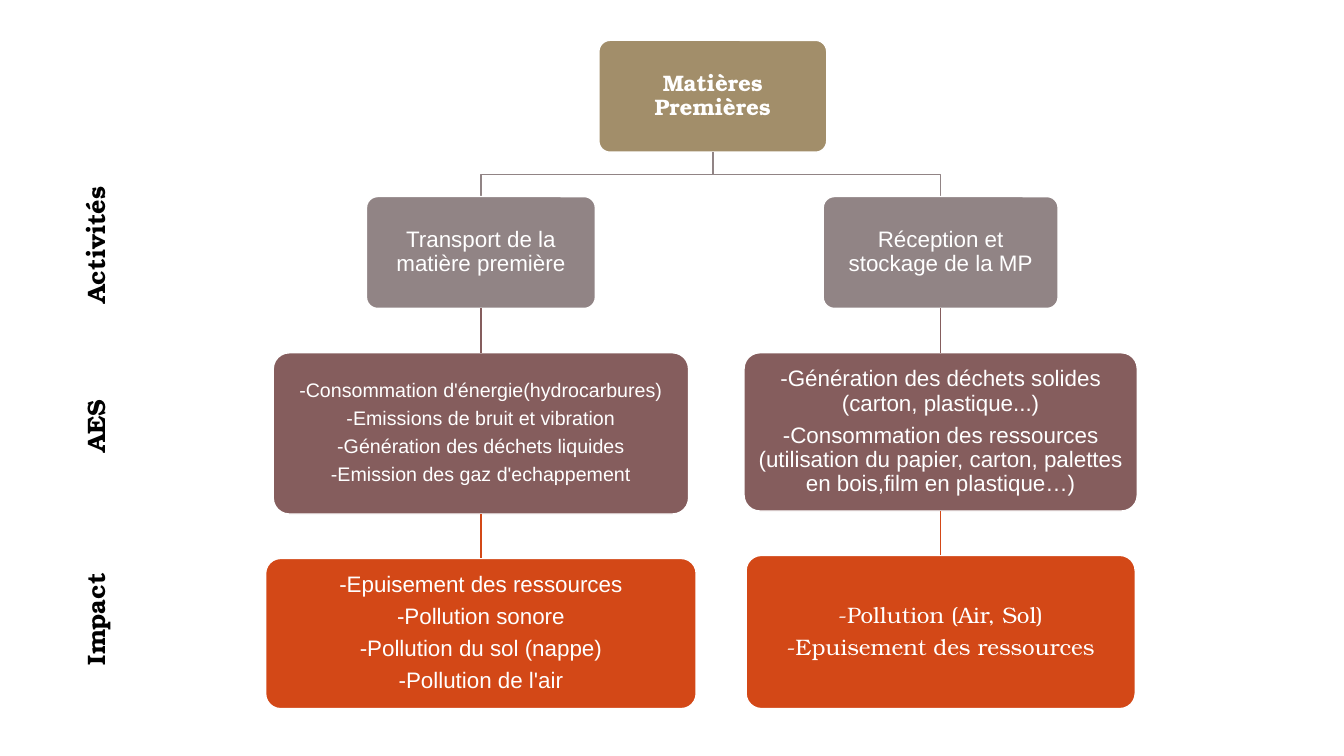
from dataclasses import dataclass

from lxml import etree
from pptx import Presentation
from pptx.dml.color import RGBColor
from pptx.enum.shapes import MSO_CONNECTOR as Link, MSO_SHAPE as Preset
from pptx.enum.text import MSO_ANCHOR as Anchor, PP_ALIGN as Align
from pptx.oxml.ns import qn
from pptx.util import Pt

PX = 9144  # 100 px to the inch


@dataclass(frozen=True)
class Theme:
    white: str = "FFFFFF"
    black: str = "000000"
    root: str = "A28E6A"
    levels: tuple = ("918485", "855D5D", "D34817")
    sans: str = "Arial"
    serif: str = "TeX Gyre Bonum"
    small: int = 14
    body: int = 16
    label: int = 18


THEME = Theme()

# Content: each node is width, height, font, size, paragraphs
ROOT = (226, 111, THEME.serif, THEME.body, ["Matières Premières"])
BRANCHES = [
    (477, [
        (227, 111, THEME.sans, THEME.body, ["Transport de la matière première"]),
        (412, 160, THEME.sans, THEME.small, [
            "-Consommation d'énergie(hydrocarbures)",
            "-Emissions de bruit et vibration",
            "-Génération des déchets liquides",
            "-Emission des gaz d'echappement",
        ]),
        (427, 149, THEME.sans, THEME.body, [
            "-Epuisement des ressources",
            "-Pollution sonore",
            "-Pollution du sol (nappe)",
            "-Pollution de l'air",
        ]),
    ]),
    (933, [
        (233, 111, THEME.sans, THEME.body, ["Réception et stockage de la MP"]),
        (390, 157, THEME.sans, THEME.body, [
            "-Génération des déchets solides (carton, plastique...)",
            "-Consommation des ressources (utilisation du papier, carton, "
            "palettes en bois,film en plastique…)",
        ]),
        (386, 152, THEME.serif, THEME.body, [
            "-Pollution (Air, Sol)",
            "-Epuisement des ressources",
        ]),
    ]),
]
LABELS = [("Activités", 243), ("AES", 423), ("Impact ", 610)]

# Layout
ROOT_X, ROOT_TOP, GAP = 707, 40, 44
LABEL_X, LABEL_W, LABEL_H = 95, 159, 100


def rgb(value):
    return RGBColor.from_string(value)


def add_panel(page, preset, x, top, width, height, color):
    """Add a filled shape centred on x, with a white outline."""
    box = page.shapes.add_shape(preset, round((x - width / 2) * PX), top * PX,
                                width * PX, height * PX)
    box.shadow.inherit = False
    box.fill.solid()
    box.fill.fore_color.rgb = rgb(color)
    box.line.color.rgb = rgb(THEME.white)
    box.line.width = Pt(1)
    box.text_frame.word_wrap = True
    box.text_frame.vertical_anchor = Anchor.MIDDLE
    return box


def add_text(para, text, font, size, color, bold=False):
    para.alignment = Align.CENTER
    span = para.add_run()
    span.text = text
    span.font.name, span.font.size, span.font.bold = font, Pt(size), bold
    span.font.color.rgb = rgb(color)


def add_node(page, x, top, node, color, bold=False):
    width, height, font, size, lines = node
    box = add_panel(page, Preset.ROUNDED_RECTANGLE, x, top, width, height, color)
    box.adjustments[0] = 0.1
    frame = box.text_frame
    frame.margin_left = frame.margin_right = 7 * PX
    frame.margin_top = frame.margin_bottom = 7 * PX
    for index, line in enumerate(lines):
        para = frame.add_paragraph() if index else frame.paragraphs[0]
        para.line_spacing = 0.9
        para.space_after = Pt(round(0.35 * size, 1))
        add_text(para, line, font, size, THEME.white, bold)
    return box


def add_elbow(page, x, top, color):
    """Run from the root down, across to x, and down to the branch."""
    path = page.shapes.build_freeform(ROOT_X, top, scale=PX)
    middle = top + GAP // 2
    path.add_line_segments([(ROOT_X, middle), (x, middle), (x, top + GAP)], close=False)
    elbow = path.convert_to_shape()
    elbow.shadow.inherit = False
    elbow.fill.background()
    elbow.line.color.rgb = rgb(color)
    elbow.line.width = Pt(1)


def add_link(page, upper, lower, color):
    link = page.shapes.add_connector(Link.STRAIGHT, 0, 0, 0, 0)
    link.begin_connect(upper, 2)
    link.end_connect(lower, 0)
    link.line.color.rgb = rgb(color)
    link.line.width = Pt(1)
    etree.SubElement(link._element.spPr, qn("a:effectLst"))


def main():
    deck = Presentation()
    deck.slide_width, deck.slide_height = 1333 * PX, 750 * PX
    page = deck.slides.add_slide(deck.slide_layouts[6])

    # Tree
    add_node(page, ROOT_X, ROOT_TOP, ROOT, THEME.root, bold=True)
    root_bottom = ROOT_TOP + ROOT[1]
    for x, nodes in BRANCHES:
        add_elbow(page, x, root_bottom, THEME.levels[0])
        top, parent = root_bottom + GAP, None
        for node, color in zip(nodes, THEME.levels):
            box = add_node(page, x, top, node, color)
            if parent is not None:
                add_link(page, parent, box, color)
            parent = box
            top += node[1] + GAP

    # Row labels, read from bottom to top
    for text, middle in LABELS:
        label = add_panel(page, Preset.RECTANGLE, LABEL_X, middle - LABEL_H // 2,
                          LABEL_W, LABEL_H, THEME.white)
        label.rotation = 270
        add_text(label.text_frame.paragraphs[0], text, THEME.serif, THEME.label,
                 THEME.black, bold=True)

    deck.save("out.pptx")


if __name__ == "__main__":
    main()
